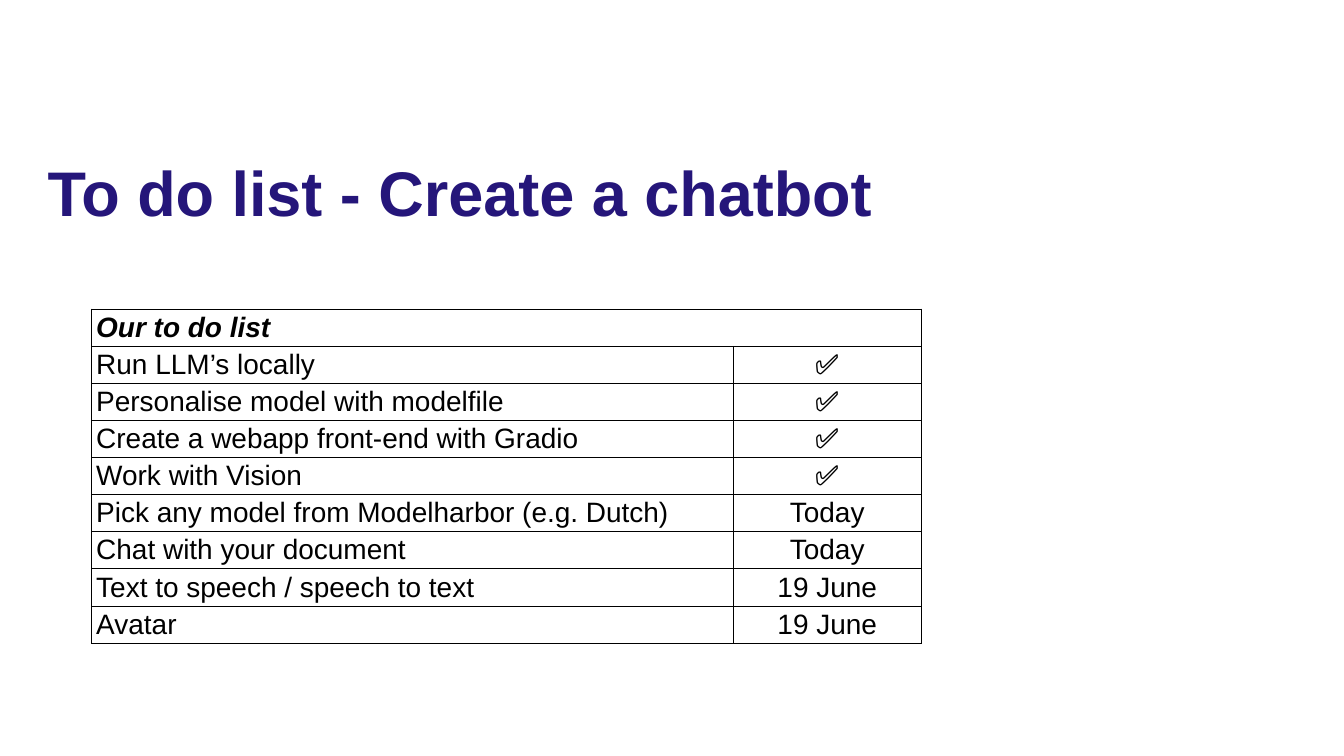
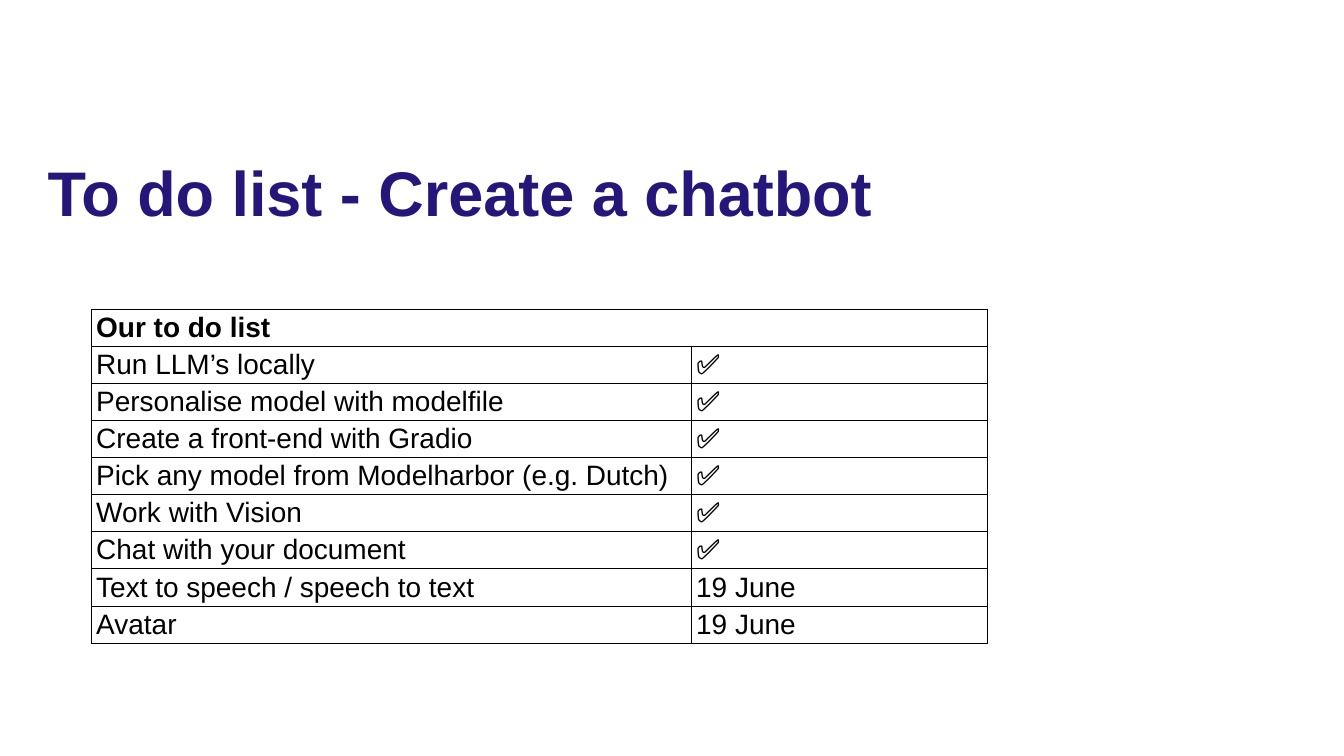
"""Build two to-do list slides about creating a chatbot."""
import pptx
import pptx.dml.color
import pptx.enum.text
import pptx.oxml
import pptx.oxml.ns
import pptx.util

Pt = pptx.util.Pt
ALIGN = pptx.enum.text.PP_ALIGN
ANCHOR = pptx.enum.text.MSO_ANCHOR
TITLE_COLOR = "25167A"
TEXT_COLOR = "000000"
TITLE = "To do list - Create a chatbot"
HEADING = "Our to do list"
ROW_HEIGHT = 52
DONE = "✅"
BORDER = (
    '<a:{side} {namespace} w="12700"><a:solidFill><a:srgbClr val="{color}"/>'
    "</a:solidFill></a:{side}>"
)


def write_text(frame, text, size=40, color=TEXT_COLOR, bold=False, italic=False,
               align=ALIGN.LEFT, spacing=1.0):
    paragraph = frame.paragraphs[0]
    paragraph.alignment = align
    paragraph.line_spacing = spacing
    run = paragraph.add_run()
    run.text = text
    run.font.name = "Arial"
    run.font.size = Pt(size)
    run.font.bold = bold
    run.font.italic = italic
    run.font.color.rgb = pptx.dml.color.RGBColor.from_string(color)


def format_cell(cell):
    cell.margin_left = cell.margin_right = Pt(6.5)
    cell.margin_top = cell.margin_bottom = Pt(2.5)
    cell.vertical_anchor = ANCHOR.MIDDLE
    properties = cell._tc.get_or_add_tcPr()
    for side in ("lnL", "lnR", "lnT", "lnB"):
        properties.append(pptx.oxml.parse_xml(BORDER.format(
            side=side, namespace=pptx.oxml.ns.nsdecls("a"), color=TEXT_COLOR)))
    cell.fill.background()


todo_slides = [
    {
        "column_widths": (916, 269.5),
        "heading_italic": True,
        "status_align": ALIGN.CENTER,
        "tasks": [
            ("Run LLM’s locally", DONE),
            ("Personalise model with modelfile", DONE),
            ("Create a webapp front-end with Gradio", DONE),
            ("Work with Vision", DONE),
            ("Pick any model from Modelharbor (e.g. Dutch)", "Today"),
            ("Chat with your document", "Today"),
            ("Text to speech / speech to text", "19 June"),
            ("Avatar", "19 June"),
        ],
    },
    {
        "column_widths": (857, 423),
        "heading_italic": False,
        "status_align": ALIGN.LEFT,
        "tasks": [
            ("Run LLM’s locally", DONE),
            ("Personalise model with modelfile", DONE),
            ("Create a front-end with Gradio", DONE),
            ("Pick any model from Modelharbor (e.g. Dutch)", DONE),
            ("Work with Vision", DONE),
            ("Chat with your document", DONE),
            ("Text to speech / speech to text", "19 June"),
            ("Avatar", "19 June"),
        ],
    },
]

presentation = pptx.Presentation()
presentation.slide_width = Pt(1920)
presentation.slide_height = Pt(1080)

for todo in todo_slides:
    slide = presentation.slides.add_slide(presentation.slide_layouts[6])

    title = slide.shapes.add_textbox(Pt(68), Pt(209), Pt(1677), Pt(232.5)).text_frame
    title.word_wrap = True
    title.margin_left = title.margin_right = title.margin_top = title.margin_bottom = 0
    title.vertical_anchor = ANCHOR.TOP
    write_text(title, TITLE, size=90, color=TITLE_COLOR, bold=True, spacing=1.1)

    widths = todo["column_widths"]
    row_count = len(todo["tasks"]) + 1
    table = slide.shapes.add_table(
        row_count, 2, Pt(131), Pt(441.5), Pt(sum(widths)), Pt(row_count * ROW_HEIGHT)
    ).table
    table.first_row = table.horz_banding = False
    for column, width in zip(table.columns, widths):
        column.width = Pt(width)
    for row in table.rows:
        row.height = Pt(ROW_HEIGHT)
    for cell in table.iter_cells():
        format_cell(cell)

    table.cell(0, 0).merge(table.cell(0, 1))
    write_text(table.cell(0, 0).text_frame, HEADING, bold=True,
               italic=todo["heading_italic"])
    for row_index, (task, status) in enumerate(todo["tasks"], start=1):
        write_text(table.cell(row_index, 0).text_frame, task)
        write_text(table.cell(row_index, 1).text_frame, status,
                   align=todo["status_align"])

presentation.save("out.pptx")
